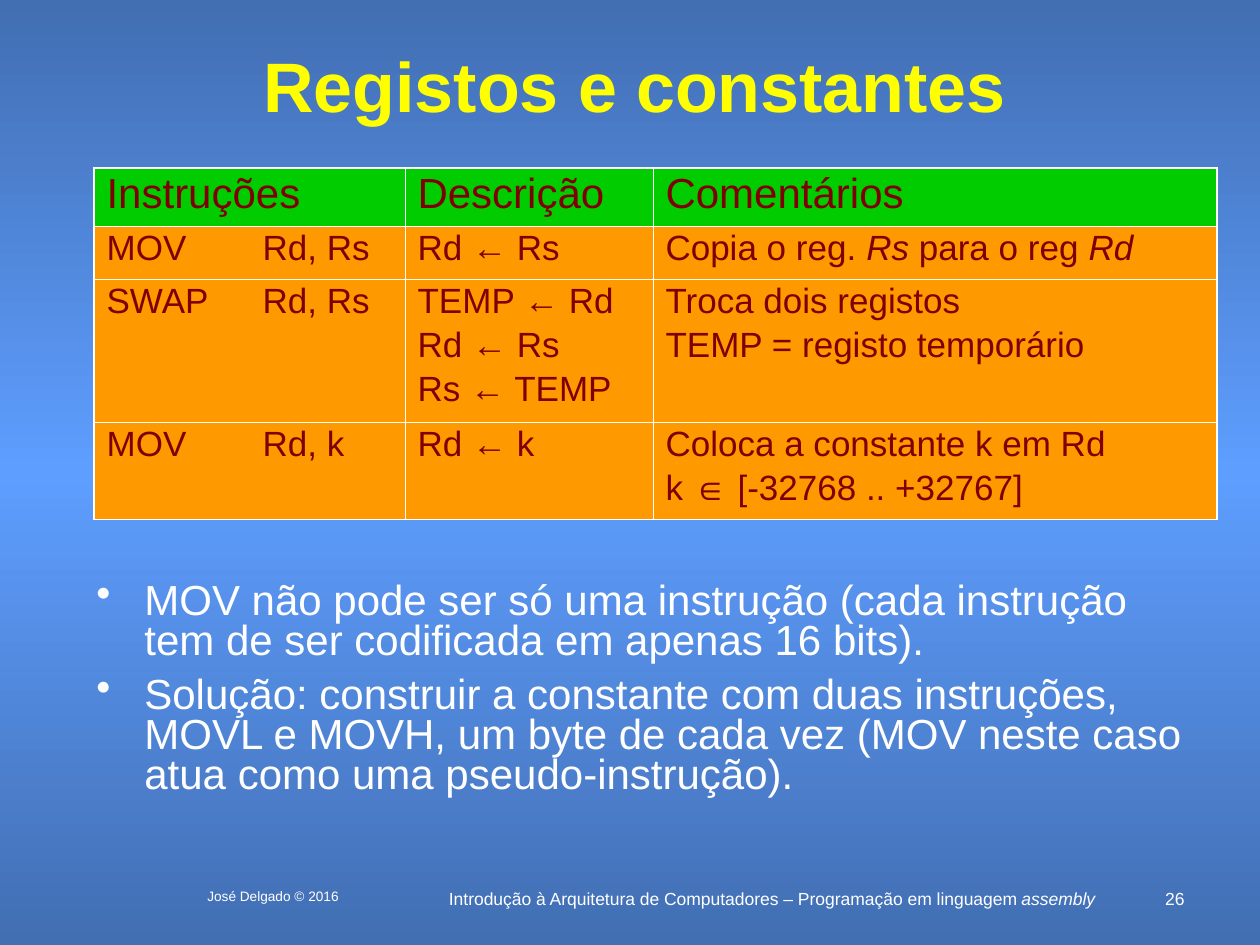
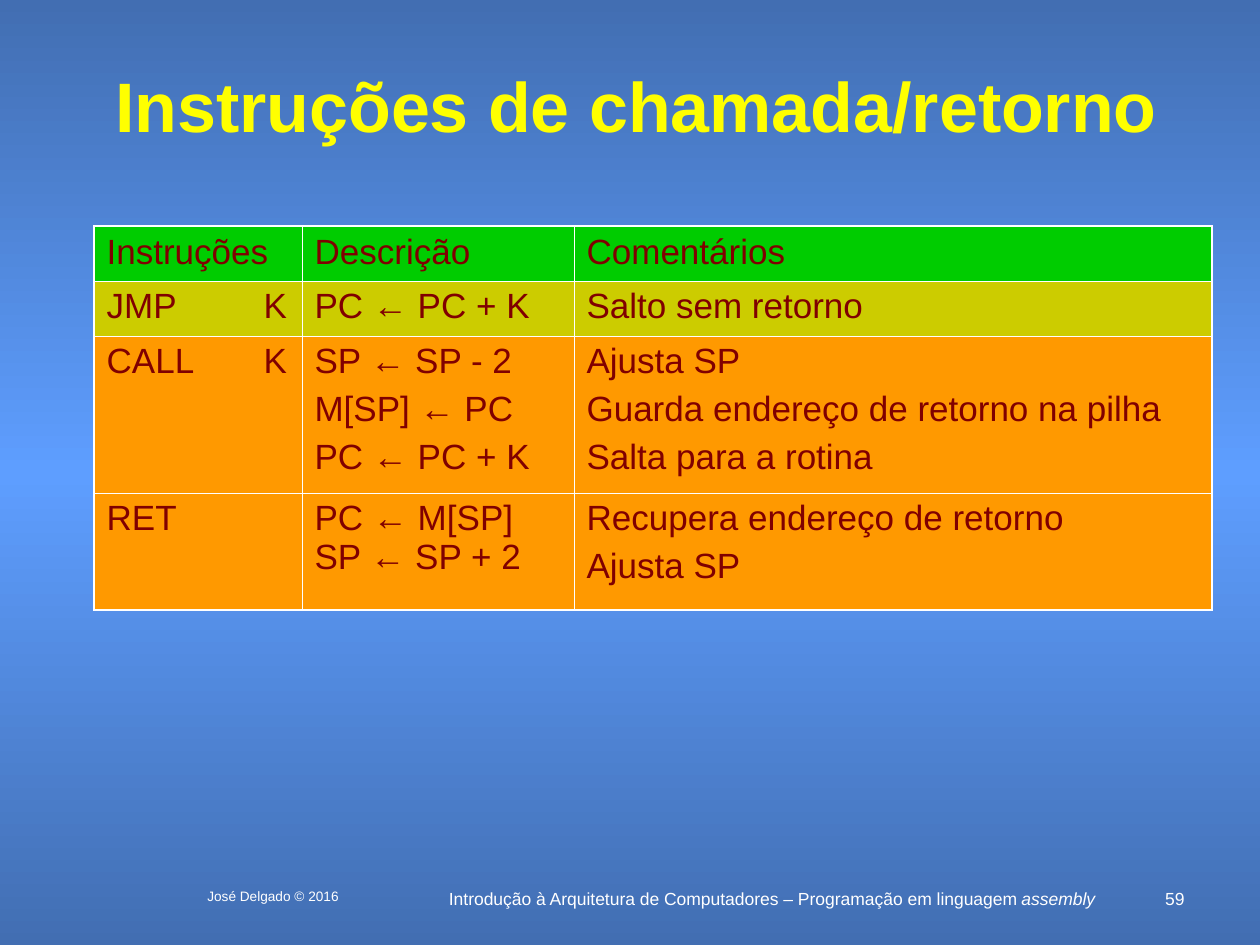
import copy
import dataclasses

import lxml.etree
import pptx
import pptx.dml.color
import pptx.enum.text
import pptx.oxml.ns
import pptx.util

PX_PER_INCH = 126
FONT = "Arial"
WHITE = "FFFFFF"
YELLOW = "FFFF00"
MAROON = "800000"
GREEN = "00CC00"
ORANGE = "FF9900"
OLIVE = "CCCC00"
GRADIENT = ((0, "426EB2"), (0.5, "5E9EFF"), (1, "426EB2"))
OUTER_LINE = 1.08
INNER_LINE = 0.45
ARROW_ITALIC_MARK = "*"
ALIGN = pptx.enum.text.PP_ALIGN
ANCHOR = pptx.enum.text.MSO_ANCHOR


@dataclasses.dataclass(frozen=True)
class Area:
    left: int
    top: int
    width: int
    height: int


@dataclasses.dataclass(frozen=True)
class Style:
    size: float
    color: str
    align: ALIGN = ALIGN.LEFT
    bold: bool = False
    spacing: float = 1.0
    gap: float = 0
    bullet_indent: int = 0


@dataclasses.dataclass(frozen=True)
class Row:
    height: int
    fill: str
    texts: tuple[str, ...]
    size: float = 20
    tight_columns: tuple[int, ...] = ()


@dataclasses.dataclass(frozen=True)
class Grid:
    left: int
    top: int
    columns: tuple[int, ...]
    rows: tuple[Row, ...]
    spacing: float


@dataclasses.dataclass(frozen=True)
class Lesson:
    title: str
    title_area: Area
    number: int
    grid: Grid
    notes: str = ""


TITLE = Style(40, YELLOW, ALIGN.CENTER, bold=True)
FOOTER = Style(10, WHITE, ALIGN.CENTER)
AUTHOR = Style(7.8, WHITE, ALIGN.CENTER)
NUMBER = Style(10, WHITE, ALIGN.RIGHT)
NOTES = Style(24, WHITE, spacing=0.8, gap=7.5, bullet_indent=48)

FOOTER_AREA = Area(435, 882, 674, 32)
NUMBER_AREA = Area(1144, 882, 53, 21)
AUTHOR_AREA = Area(168, 882, 210, 32)
NOTES_AREA = Area(84, 577, 1117, 232)

HEADINGS = ("Instruções", "", "Descrição", "Comentários")

LESSONS = (
    Lesson(
        "Registos e constantes",
        Area(94, 42, 1081, 84),
        26,
        Grid(94, 168, (156, 155, 248, 564), (
            Row(58, GREEN, HEADINGS, size=24),
            Row(53, ORANGE, ("MOV", "Rd, Rs", "Rd ← Rs",
                             "Copia o reg. *Rs* para o reg *Rd*")),
            Row(143, ORANGE, ("SWAP", "Rd, Rs", "TEMP ← Rd\nRd ← Rs\nRs ← TEMP",
                              "Troca dois registos\nTEMP = registo temporário")),
            Row(97, ORANGE, ("MOV", "Rd, k", "Rd ← k",
                             "Coloca a constante k em Rd\nk ∈ [-32768 .. +32767]")),
        ), spacing=0.9),
        "MOV não pode ser só uma instrução (cada instrução tem de ser codificada "
        "em apenas 16 bits).\n"
        "Solução: construir a constante com duas instruções, MOVL e MOVH, um byte "
        "de cada vez (MOV neste caso atua como uma pseudo-instrução).",
    ),
    Lesson(
        "Instruções de chamada/retorno",
        Area(66, 63, 1140, 84),
        59,
        Grid(94, 226, (157, 51, 272, 638), (
            Row(55, GREEN, HEADINGS),
            Row(55, OLIVE, ("JMP", "K", "PC ← PC + K", "Salto sem retorno")),
            Row(157, ORANGE, ("CALL", "K", "SP ← SP - 2\nM[SP] ← PC\nPC ← PC + K",
                              "Ajusta SP\nGuarda endereço de retorno na pilha\n"
                              "Salta para a rotina")),
            Row(117, ORANGE, ("RET", "", "PC ← M[SP]\nSP ← SP + 2",
                              "Recupera endereço de retorno\nAjusta SP"),
                tight_columns=(2,)),
        ), spacing=1.0),
    ),
)


def px(length: int) -> pptx.util.Emu:
    return pptx.util.Emu(round(length * 914400 / PX_PER_INCH))


def rgb(color: str) -> pptx.dml.color.RGBColor:
    return pptx.dml.color.RGBColor.from_string(color)


def add_element(parent, tag: str, **attributes: str):
    return lxml.etree.SubElement(parent, pptx.oxml.ns.qn(tag), attributes)


def add_bullet(para, indent: int) -> None:
    properties = para._p.get_or_add_pPr()
    properties.set("marL", str(px(indent)))
    properties.set("indent", str(-px(indent)))
    add_element(add_element(properties, "a:buClr"), "a:srgbClr", val=WHITE)
    add_element(properties, "a:buChar", char="•")


def write(frame, text: str, style: Style) -> None:
    for index, line in enumerate(text.split("\n")):
        para = frame.add_paragraph() if index else frame.paragraphs[0]
        if style.bullet_indent:
            add_bullet(para, style.bullet_indent)
        para.alignment = style.align
        para.line_spacing = style.spacing
        para.space_before = pptx.util.Pt(style.gap if index else 0)
        para.font.name = FONT
        para.font.size = pptx.util.Pt(style.size)
        para.font.bold = style.bold
        para.font.color.rgb = rgb(style.color)
        for part, words in enumerate(line.split(ARROW_ITALIC_MARK)):
            if words:
                span = para.add_run()
                span.text = words
                if part % 2:
                    span.font.italic = True


def add_text(page, area: Area, text: str, style: Style,
             anchor: ANCHOR = ANCHOR.TOP) -> None:
    box = page.shapes.add_textbox(
        px(area.left), px(area.top), px(area.width), px(area.height))
    box.text_frame.word_wrap = True
    box.text_frame.vertical_anchor = anchor
    write(box.text_frame, text, style)


def set_borders(cell, widths: dict[str, float]) -> None:
    properties = cell._tc.get_or_add_tcPr()
    for index, (side, width) in enumerate(widths.items()):
        line = add_element(properties, f"a:ln{side}", w=str(pptx.util.Pt(width)))
        if width:
            add_element(add_element(line, "a:solidFill"), "a:srgbClr", val=WHITE)
        else:
            add_element(line, "a:noFill")
        properties.insert(index, line)


def add_grid(page, grid: Grid) -> None:
    last_row = len(grid.rows) - 1
    last_column = len(grid.columns) - 1
    table = page.shapes.add_table(
        len(grid.rows), len(grid.columns), px(grid.left), px(grid.top),
        px(sum(grid.columns)), px(sum(row.height for row in grid.rows))).table
    table.first_row = False
    table.horz_banding = False
    for column, width in zip(table.columns, grid.columns):
        column.width = px(width)
    table.cell(0, 0).merge(table.cell(0, 1))

    for row_index, row in enumerate(grid.rows):
        table.rows[row_index].height = px(row.height)
        for column_index, text in enumerate(row.texts):
            cell = table.cell(row_index, column_index)
            cell.fill.solid()
            cell.fill.fore_color.rgb = rgb(row.fill)
            cell.margin_left = cell.margin_right = pptx.util.Inches(0.1)
            cell.margin_top = cell.margin_bottom = pptx.util.Inches(0.05)
            joined_right = column_index == 0 and not cell.is_merge_origin
            set_borders(cell, {
                "L": (OUTER_LINE, 0)[column_index] if column_index < 2 else INNER_LINE,
                "R": 0 if joined_right else
                     OUTER_LINE if column_index == last_column else INNER_LINE,
                "T": INNER_LINE if row_index else OUTER_LINE,
                "B": OUTER_LINE if row_index == last_row else INNER_LINE,
            })
            if text:
                gap = 0 if column_index in row.tight_columns else 5
                write(cell.text_frame, text,
                      Style(row.size, MAROON, spacing=grid.spacing, gap=gap))


def paint_background(page) -> None:
    fill = page.background.fill
    fill.gradient()
    fill.gradient_angle = 90
    stops = page.element.find(".//" + pptx.oxml.ns.qn("a:gsLst"))
    stops.append(copy.deepcopy(stops[0]))
    for stop, (position, color) in zip(fill.gradient_stops, GRADIENT):
        stop.position = position
        stop.color.rgb = rgb(color)


def add_lesson(deck, lesson: Lesson) -> None:
    page = deck.slides.add_slide(deck.slide_layouts[6])
    paint_background(page)
    add_text(page, FOOTER_AREA,
             "Introdução à Arquitetura de Computadores – "
             "Programação em linguagem *assembly*", FOOTER)
    add_text(page, NUMBER_AREA, str(lesson.number), NUMBER)
    add_text(page, AUTHOR_AREA, "José Delgado © 2016", AUTHOR)
    add_text(page, lesson.title_area, lesson.title, TITLE, ANCHOR.MIDDLE)
    add_grid(page, lesson.grid)
    if lesson.notes:
        add_text(page, NOTES_AREA, lesson.notes, NOTES)


def main() -> None:
    deck = pptx.Presentation()
    deck.slide_width = pptx.util.Inches(10)
    deck.slide_height = pptx.util.Inches(7.5)
    for lesson in LESSONS:
        add_lesson(deck, lesson)
    deck.save("out.pptx")


if __name__ == "__main__":
    main()
